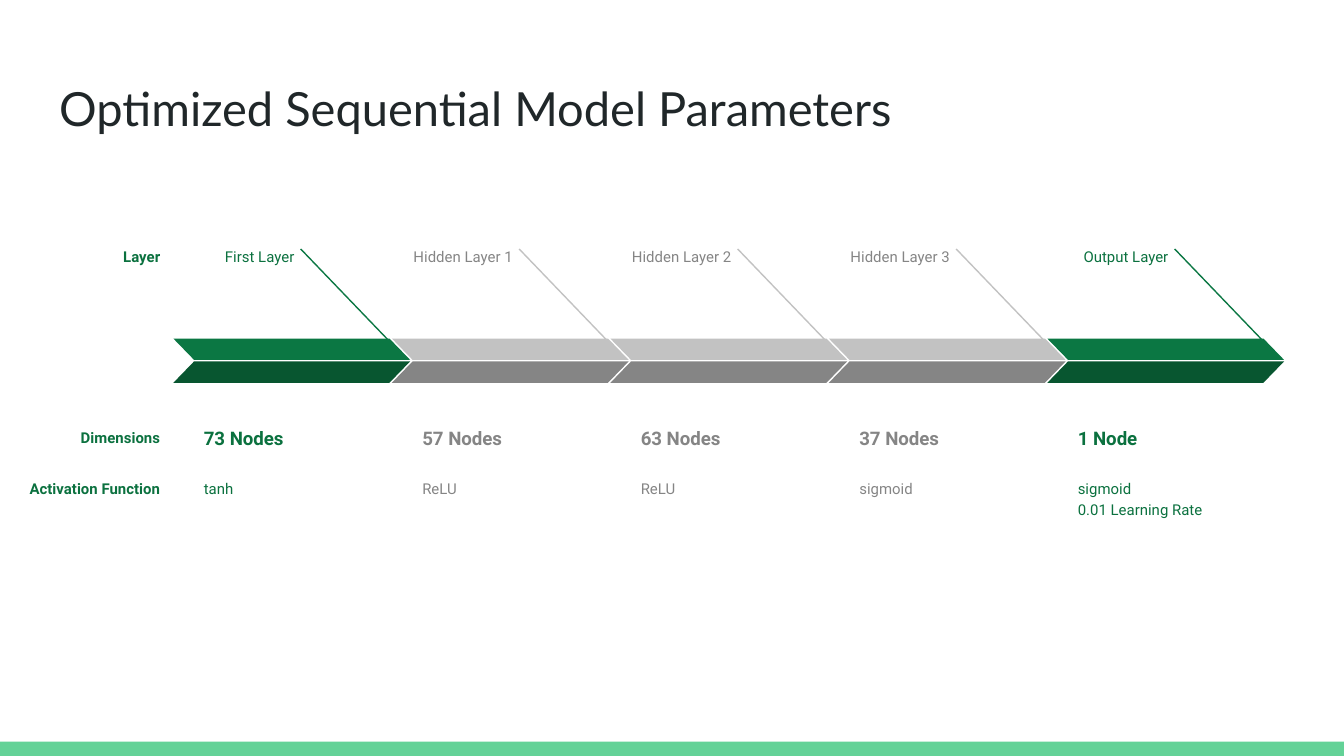
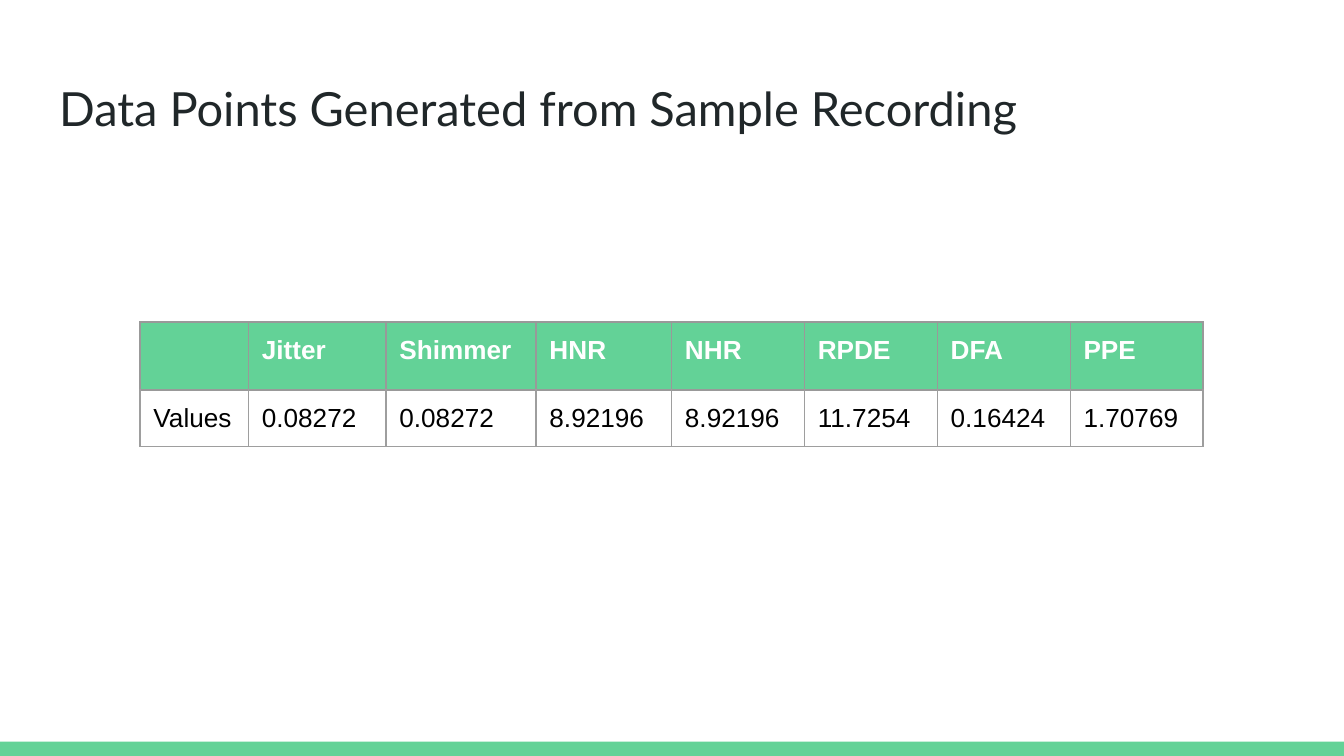
import copy
import dataclasses

import lxml.etree
import pptx
import pptx.dml.color
import pptx.enum.shapes
import pptx.enum.text
import pptx.oxml.ns
import pptx.util

Pt = pptx.util.Pt
qn = pptx.oxml.ns.qn
SHAPE = pptx.enum.shapes.MSO_SHAPE
ALIGN = pptx.enum.text.PP_ALIGN
ANCHOR = pptx.enum.text.MSO_ANCHOR


@dataclasses.dataclass(frozen=True)
class Theme:
    band: str = "63D297"
    title: str = "202729"
    label: str = "0B713F"
    green: tuple = ("0B7743", "085630", "0B713F")  # upper, lower, text
    gray: tuple = ("C2C2C2", "858585", "858585")
    grid: str = "999999"
    edge: str = "9E9E9E"
    white: str = "FFFFFF"
    black: str = "000000"
    head: str = "Lato"
    body: str = "Roboto"
    cell: str = "Arial"
    big: float = 25.2
    mid: float = 10
    small: float = 8
    data: float = 14
    inset: float = 7.2
    rule: float = 0.75


THEME = Theme()

# Layer name, label width, nodes, function, colours
LAYERS = [
    ("First Layer", 72, "73 Nodes", "tanh", THEME.green),
    ("Hidden Layer 1", 72, "57 Nodes", "ReLU", THEME.gray),
    ("Hidden Layer 2", 95, "63 Nodes", "ReLU", THEME.gray),
    ("Hidden Layer 3", 85, "37 Nodes", "sigmoid", THEME.gray),
    ("Output Layer", 87, "1 Node", "sigmoid\n0.01 Learning Rate", THEME.green),
]
# Row label, left, top, width
LABELS = [
    ("Layer", 21, 124, 72),
    ("Dimensions", 21, 221, 72),
    ("Activation Function", 0, 248.4, 93),
]
START, STEP = 92.9, 117.05
VALUES = [
    ["", "Jitter", "Shimmer", "HNR", "NHR", "RPDE", "DFA", "PPE"],
    ["Values", "0.08272", "0.08272", "8.92196", "8.92196", "11.7254",
     "0.16424", "1.70769"],
]
COLS = [58.1, 73.7, 80.4, 72.6] + [71.2] * 4
ROWS = [34.3, 30]


def rgb(code):
    return pptx.dml.color.RGBColor.from_string(code)


def apply(item, **form):
    for key, val in form.items():
        setattr(item, key, val)


def write(frame, text, font, size, color, bold=False, **form):
    """Fill the first paragraph and format its runs and breaks."""
    para = frame.paragraphs[0]
    para.text = text
    apply(para, **form)
    for run in para.runs:
        apply(run.font, name=font, size=Pt(size), bold=bold)
        run.font.color.rgb = rgb(color)
    for gap in para._p.findall(qn("a:br")):
        gap.append(copy.deepcopy(para.runs[0].font._element))


def pad(frame, anchor=ANCHOR.TOP):
    gap = Pt(THEME.inset)
    apply(frame, word_wrap=True, vertical_anchor=anchor,
          auto_size=pptx.enum.text.MSO_AUTO_SIZE.NONE, margin_left=gap,
          margin_top=gap, margin_right=gap, margin_bottom=gap)


def add_text(shapes, box, text, size, color, bold=False,
             anchor=ANCHOR.TOP, align=ALIGN.LEFT, after=16):
    frame = shapes.add_textbox(*map(Pt, box)).text_frame
    pad(frame, anchor)
    write(frame, text, THEME.body, size, color, bold, alignment=align,
          line_spacing=1.15, space_after=Pt(after))


def add_block(shapes, kind, box, color):
    block = shapes.add_shape(kind, *map(Pt, box))
    block.shadow.inherit = False
    block.fill.solid()
    block.fill.fore_color.rgb = rgb(color)
    block.line.fill.background()
    return block


def add_line(shapes, ends, color):
    line = shapes.add_connector(
        pptx.enum.shapes.MSO_CONNECTOR.STRAIGHT, *map(Pt, ends))
    line.line.color.rgb = rgb(color)
    line.line.width = Pt(THEME.rule)
    lxml.etree.SubElement(line._element.spPr, qn("a:effectLst"))


def add_slide(deck, text):
    """Title-only slide with the bottom band."""
    slide = deck.slides.add_slide(deck.slide_layouts[5])
    add_block(slide.shapes, SHAPE.RECTANGLE, (0, 397.4, 720, 7.6), THEME.band)
    title = slide.shapes.title
    apply(title, left=Pt(24.5), top=Pt(35.3), width=Pt(671), height=Pt(45.4))
    pad(title.text_frame)
    write(title.text_frame, text, THEME.head, THEME.big, THEME.title,
          alignment=ALIGN.LEFT)
    return slide


def add_layer(slide, left, name, width, nodes, func, colors):
    """One chevron with its leader line and texts."""
    upper, lower, ink = colors
    shapes = slide.shapes.add_group_shape().shapes
    add_line(shapes, (left + 68.2, 133.4, left + 124.7, 192.2), upper)
    for top, color in ((181.4, upper), (193.7, lower)):
        half = add_block(shapes, SHAPE.PARALLELOGRAM,
                         (left, top, 126.8, 11.4), color)
        half.adjustments[0] = 0.97
        if color == upper:
            half._element.spPr.xfrm.set("flipH", "1")
    add_text(shapes, (left + 9.2, 212.4, 104.4, 35.3), nodes, THEME.mid, ink,
             bold=True, anchor=ANCHOR.BOTTOM, after=0)
    add_text(shapes, (left + 9.2, 248.4, 104.4, 58.3), func, THEME.small, ink)
    add_text(shapes, (left + 72 - width, 124, width, 18.7), name, THEME.small,
             ink, align=ALIGN.RIGHT)


def add_edges(cell, top, side):
    """Cell borders, placed ahead of the fill."""
    props = cell._tc.get_or_add_tcPr()
    for spot, tag in enumerate(("lnL", "lnR", "lnT", "lnB")):
        edge = lxml.etree.Element(qn("a:" + tag), w=str(Pt(THEME.rule)))
        fill = lxml.etree.SubElement(edge, qn("a:solidFill"))
        lxml.etree.SubElement(fill, qn("a:srgbClr"),
                              val=top if tag == "lnT" else side)
        props.insert(spot, edge)


def add_grid(slide, left, top):
    grid = slide.shapes.add_table(len(ROWS), len(COLS), Pt(left), Pt(top),
                                  Pt(sum(COLS)), Pt(sum(ROWS))).table
    apply(grid, first_row=False, horz_banding=False)
    for col, width in zip(grid.columns, COLS):
        col.width = Pt(width)
    for pos, (row, height) in enumerate(zip(grid.rows, ROWS)):
        row.height = Pt(height)
        head = pos == 0
        for cell, text in zip(row.cells, VALUES[pos]):
            gap = Pt(THEME.inset)
            apply(cell, margin_left=gap, margin_right=gap, margin_top=gap,
                  margin_bottom=gap)
            write(cell.text_frame, text, THEME.cell, THEME.data,
                  THEME.white if head else THEME.black, head)
            if head:
                cell.fill.solid()
                cell.fill.fore_color.rgb = rgb(THEME.band)
            else:
                cell.fill.background()
            if not text:
                cell.text_frame.paragraphs[0].line_spacing = Pt(THEME.data)
            add_edges(cell, THEME.grid, THEME.grid if head else THEME.edge)


def main():
    deck = pptx.Presentation()
    apply(deck, slide_width=Pt(720), slide_height=Pt(405))

    # Model layers
    slide = add_slide(deck, "Optimized Sequential Model Parameters")
    for pos, layer in enumerate(LAYERS):
        add_layer(slide, START + pos * STEP, *layer)
    for text, left, top, width in LABELS:
        add_text(slide.shapes, (left, top, width, 18.7), text, THEME.small,
                 THEME.label, bold=True, align=ALIGN.RIGHT)

    # Sample values
    slide = add_slide(deck, "Data Points Generated from Sample Recording")
    add_grid(slide, 75, 172.5)

    deck.save("out.pptx")


if __name__ == "__main__":
    main()
